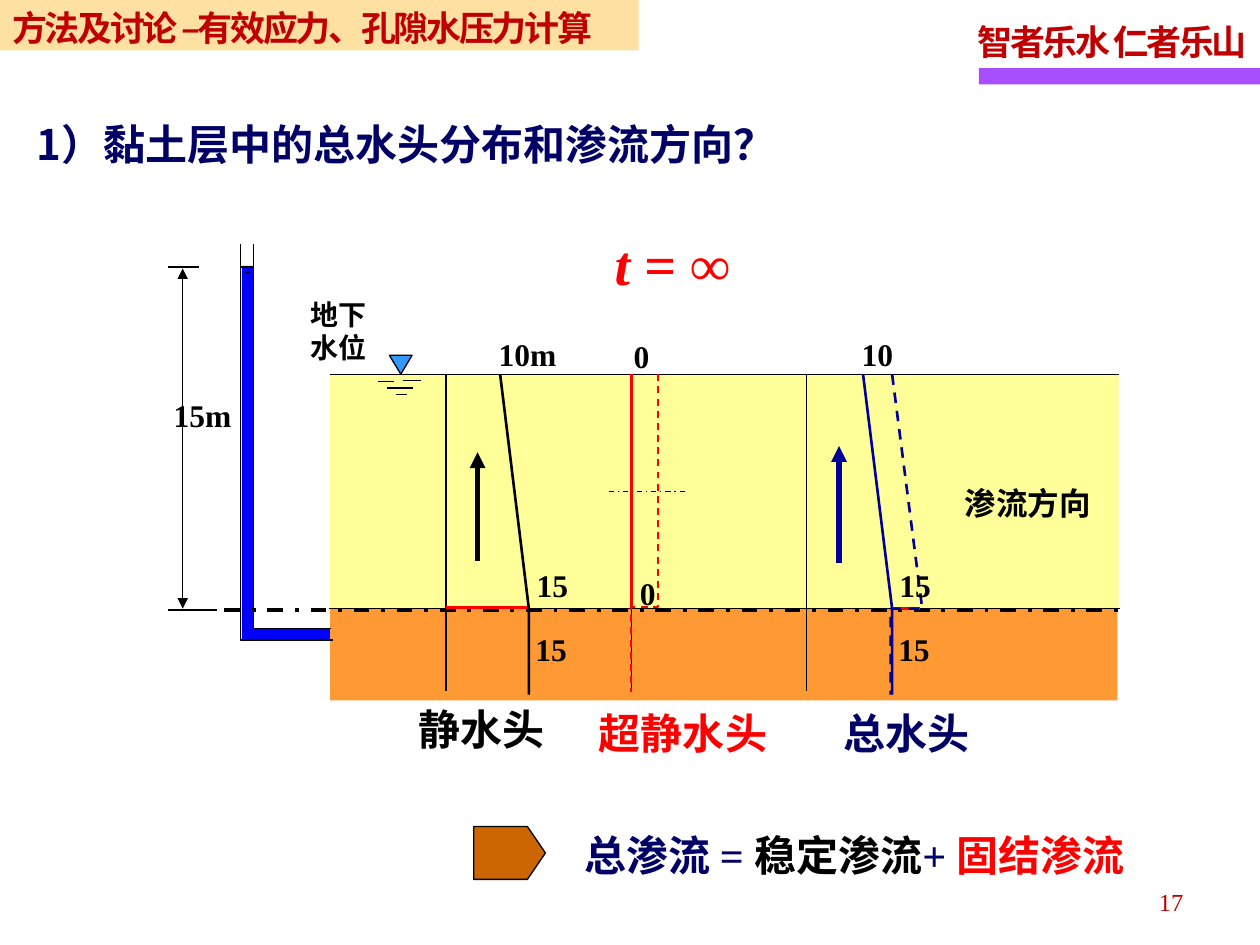
from lxml import etree
from pptx import Presentation
from pptx.dml.color import RGBColor
from pptx.enum import dml, shapes, text
from pptx.oxml import ns
from pptx.util import Pt

BLACK = RGBColor(0x00, 0x00, 0x00)
RED = RGBColor(0xFF, 0x00, 0x00)
DARK_RED = RGBColor(0xC0, 0x00, 0x00)
NAVY = RGBColor(0x00, 0x00, 0x66)
HEAD_BLUE = RGBColor(0x00, 0x00, 0x99)
WATER = RGBColor(0x00, 0x00, 0xFF)
SKY = RGBColor(0x33, 0x99, 0xFF)
CLAY = RGBColor(0xFF, 0xFF, 0x99)
SAND = RGBColor(0xFF, 0x99, 0x33)
BROWN = RGBColor(0xCC, 0x66, 0x00)
PURPLE = RGBColor(0xA7, 0x4F, 0xFF)
PEACH = RGBColor(0xFF, 0xCC, 0x66)

LATIN = "Times New Roman"
CJK = "Noto Sans CJK SC"
DASH = dml.MSO_LINE.DASH
DASH_DOT = dml.MSO_LINE.DASH_DOT

# Levels of the soil profile
GROUND = 213.9
CLAY_BASE = 347.8
FLOOR = 397


def points(*values):
    return [Pt(value) for value in values]


def add_xml(parent, tag, **attributes):
    return etree.SubElement(parent, ns.qn(tag), attributes)


def style_font(font, size, color, name=LATIN, bold=True, tracking=None):
    font.size, font.bold, font.name = Pt(size), bold, name
    font.color.rgb = color
    add_xml(font._element, "a:ea", typeface=CJK)
    if tracking:
        font._element.set("spc", str(round(tracking * 100)))


def write_lines(shape, lines, size, color, name=LATIN, bold=True, tracking=None,
                spacing=None, align=text.PP_ALIGN.LEFT, wrap=False):
    frame = shape.text_frame
    frame.auto_size = text.MSO_AUTO_SIZE.NONE
    frame.word_wrap = wrap
    frame.text = lines
    for paragraph in frame.paragraphs:
        paragraph.alignment = align
        if spacing:
            paragraph.line_spacing = spacing
        style_font(paragraph.font, size, color, name, bold, tracking)


def add_text(slide, box, lines, size, color, **options):
    shape = slide.shapes.add_textbox(*points(*box))
    write_lines(shape, lines, size, color, **options)


def add_runs(slide, box, size, runs):
    """Add one line whose runs are (text, colour, italic)."""
    shape = slide.shapes.add_textbox(*points(*box))
    shape.text_frame.word_wrap = False
    paragraph = shape.text_frame.paragraphs[0]
    for words, color, italic in runs:
        run = paragraph.add_run()
        run.text = words
        run.font.italic = italic
        style_font(run.font, size, color)


def style_shape(shape, fill=None, line=None, width=0.75, dash=None):
    shape.shadow.inherit = False
    if fill is None:
        shape.fill.background()
    else:
        shape.fill.solid()
        shape.fill.fore_color.rgb = fill
    if line is None:
        shape.line.fill.background()
    else:
        shape.line.color.rgb = line
        shape.line.width = Pt(width)
        shape.line.dash_style = dash


def add_block(slide, box, fill, line=None, kind=shapes.MSO_SHAPE.RECTANGLE):
    shape = slide.shapes.add_shape(kind, *points(*box))
    style_shape(shape, fill, line)
    return shape


def add_path(slide, corners, close=False, **style):
    start, *others = [points(*corner) for corner in corners]
    builder = slide.shapes.build_freeform(*start)
    builder.add_line_segments(others, close=close)
    style_shape(builder.convert_to_shape(), **style)


def add_line(slide, ends, color=BLACK, width=0.75, dash=None, arrows=()):
    """Draw a line; arrows may hold "headEnd" (start) and "tailEnd" (finish)."""
    connector = slide.shapes.add_connector(shapes.MSO_CONNECTOR.STRAIGHT, *points(*ends))
    connector.line.color.rgb = color
    connector.line.width = Pt(width)
    connector.line.dash_style = dash
    for arrow in arrows:
        add_xml(connector.line._get_or_add_ln(), f"a:{arrow}", type="triangle")
    add_xml(connector._element.spPr, "a:effectLst")


def add_heading(slide):
    add_block(slide, (559.4, 38.9, 160.6, 9.4), PURPLE)
    add_text(slide, (551.5, 4.5, 170, 35.3), "智者乐水 仁者乐山", 20, DARK_RED,
             tracking=-1.4, spacing=1.15)
    banner = add_block(slide, (0, 0, 365, 28.8), PEACH)
    add_xml(banner.fill._xPr.find(".//" + ns.qn("a:srgbClr")), "a:alpha", val="60000")
    banner.text_frame.vertical_anchor = text.MSO_ANCHOR.TOP
    write_lines(banner, "方法及讨论 –有效应力、孔隙水压力计算", 20, DARK_RED,
                name=CJK, tracking=-1.4, wrap=True)

    title = slide.shapes.title
    title.left, title.top, title.width, title.height = points(20.9, 58.3, 434.2, 41.8)
    frame = title.text_frame
    frame.margin_left = frame.margin_right = 0
    frame.vertical_anchor = text.MSO_ANCHOR.MIDDLE
    write_lines(title, "1）黏土层中的总水头分布和渗流方向？", 24, NAVY, name=CJK, spacing=1.2)


def add_soil_and_standpipe(slide):
    add_path(slide, [(190.1, 359.3), (144.7, 359.3), (144.7, 151.9), (138.2, 151.9),
                     (138.2, 365.8), (190.8, 365.8)], close=True, fill=WATER)
    add_block(slide, (188.6, 338.4, 450, 61.9), SAND)
    add_block(slide, (188.6, GROUND, 450.7, 133.5), CLAY)
    add_line(slide, (188.6, GROUND, 639.4, GROUND))
    add_line(slide, (187.9, CLAY_BASE, 640.1, CLAY_BASE))

    table_mark = add_block(slide, (222.5, 203, 13, 10.8), SKY, BLACK,
                           shapes.MSO_SHAPE.ISOSCELES_TRIANGLE)
    table_mark.rotation = 180
    for left, right, level in [(216, 225.4, 218), (230.4, 240.5, 217.5),
                               (221, 236.2, 221.8), (226.1, 232.6, 225.4)]:
        add_line(slide, (left, level, right, level))
    add_text(slide, (170.6, 166.3, 46.8, 46.1), "地下\n水位", 16, BLACK)

    add_path(slide, [(189.4, 359.3), (144.7, 359.3), (144.7, 139.7)], line=BLACK)
    add_path(slide, [(190.1, 365.8), (137.5, 365.8), (137.5, 139.7)], line=BLACK)
    add_line(slide, (137.5, 152.6, 144.7, 152.6))
    add_line(slide, (140.4, 155.5, 142.6, 155.5))
    add_line(slide, (104.4, CLAY_BASE, 104.4, 153.4), arrows=("headEnd", "tailEnd"))
    add_line(slide, (95.8, 152.6, 113.8, 152.6))
    add_line(slide, (95.8, 348.5, 123.8, 348.5))
    add_line(slide, (128.2, 348.5, 638.6, 348.5), width=2.25, dash=DASH_DOT)


def add_head_diagrams(slide):
    for axis in (254.9, 360.7, 460.8):
        add_line(slide, (axis, GROUND, axis, FLOOR - 2))

    # Hydrostatic head
    add_line(slide, (254.9, 347, 301.7, 347), RED, 1.5)
    add_path(slide, [(285.8, GROUND), (302.2, CLAY_BASE), (302.2, FLOOR)], line=BLACK, width=1.5)
    add_line(slide, (272.9, 320.4, 272.9, 258.5), width=3, arrows=("tailEnd",))

    # Excess head
    add_path(slide, [(375.8, GROUND), (375.8, 347), (360.7, 347), (360.7, 395.3)],
             line=RED, width=1, dash=DASH)
    add_line(slide, (360.7, GROUND, 360.7, 347), RED, 1.5)
    add_line(slide, (347.8, 280.8, 393.1, 280.8), dash=DASH_DOT)

    # Total head
    add_path(slide, [(493.2, GROUND), (509.8, CLAY_BASE), (509.8, FLOOR)],
             line=HEAD_BLUE, width=1.5)
    add_line(slide, (509.8, CLAY_BASE, 525.6, CLAY_BASE), RED, 1.5)
    add_path(slide, [(509.8, GROUND), (527, CLAY_BASE), (509, CLAY_BASE), (509, FLOOR)],
             line=HEAD_BLUE, width=1.5, dash=DASH)
    add_line(slide, (479.5, 321.8, 479.5, 254.9), HEAD_BLUE, 3, arrows=("tailEnd",))


def add_labels(slide):
    for value, left, top, width in [
            ("15m", 92.2, 218.2, 47.5), ("10m", 277.9, 183.6, 47.5),
            ("15", 299.5, 315.4, 32.4), ("15", 298.8, 352.1, 32.4),
            ("0", 355, 185, 23.8), ("0", 358.6, 320.4, 23.8),
            ("10", 485.3, 183.6, 32.4), ("15", 506.9, 315.4, 32.4),
            ("15", 506.2, 352.1, 32.4)]:
        add_text(slide, (left, top, width, 33.1), value, 18, BLACK, spacing=1.2)
    for name, left, top, width, color in [
            ("静水头", 231.8, 398.2, 87.8, BLACK), ("超静水头", 335.2, 401, 110.4, RED),
            ("总水头", 475.1, 401, 86.4, NAVY)]:
        add_text(slide, (left, top, width, 36), name, 24, color)
    add_text(slide, (544.3, 272.9, 87.8, 28.8), "渗流方向", 18, BLACK)
    add_runs(slide, (344.2, 127.4, 82.1, 45.4), 32, [("t", RED, True), (" = ∞", RED, False)])


def add_conclusion(slide):
    arrow = add_block(slide, (270.7, 472.3, 41, 30.2), BROWN, BLACK, shapes.MSO_SHAPE.PENTAGON)
    arrow.adjustments[0] = 0.34
    add_runs(slide, (326.9, 470.2, 360, 36), 24,
             [("总渗流 = ", NAVY, False), ("稳定渗流", BLACK, False),
              ("+ ", NAVY, False), ("固结渗流", RED, False)])
    add_text(slide, (515.5, 501.1, 167.8, 28.8), "17", 14, DARK_RED, bold=False,
             spacing=1.15, align=text.PP_ALIGN.RIGHT, wrap=True)


def main():
    presentation = Presentation()
    presentation.slide_width, presentation.slide_height = points(720, 540)
    slide = presentation.slides.add_slide(presentation.slide_layouts[5])
    add_heading(slide)
    add_soil_and_standpipe(slide)
    add_head_diagrams(slide)
    add_labels(slide)
    add_conclusion(slide)
    presentation.save("out.pptx")


if __name__ == "__main__":
    main()
